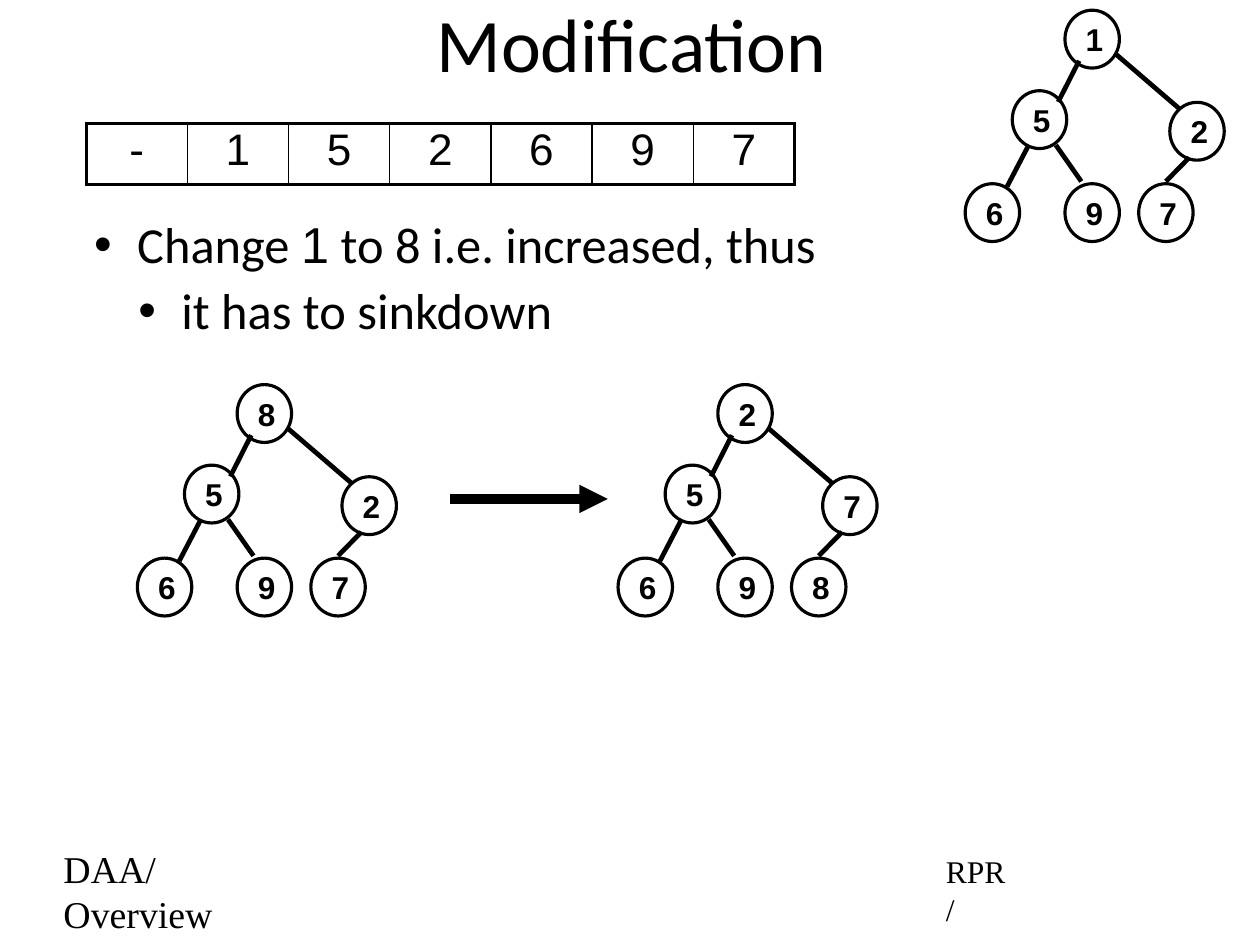
from dataclasses import dataclass
from typing import Optional

from lxml.etree import SubElement
from pptx import Presentation
from pptx.dml.color import RGBColor
from pptx.enum.shapes import MSO_CONNECTOR as Connector, MSO_SHAPE as Preset
from pptx.enum.text import MSO_ANCHOR as Anchor, PP_ALIGN as Align
from pptx.oxml.ns import qn
from pptx.util import Emu, Inches, Pt

WIDTH, HEIGHT = Inches(11.11), Inches(8.33)
INK = "000000"
INSET = Inches(0.06)
TEXT_INDENT = Inches(0.04)
NODE_SIZE = (4.32, 6.12)


@dataclass(frozen=True)
class Style:
    font: str
    size: float
    bold: bool = False


@dataclass(frozen=True)
class Label:
    text: str
    box: tuple[float, float, float, float]
    style: Style
    align: Align = Align.LEFT


@dataclass(frozen=True)
class Bullet:
    runs: tuple[tuple[str, str], ...]
    level: int
    left: float


@dataclass(frozen=True)
class Tree:
    left: float
    top: float
    values: str


TITLE = Style("Calibri", 48)
CELL = Style("Arial", 28)
NODE = Style("Arial", 20, True)
BULLET_SIZE = 32

LABELS = (
    Label("Modification", (7.47, 0, 84.96, 9), TITLE, Align.CENTER),
    Label("DAA/Overview", (4.14, 91.44, 17.1, 5.64), Style("Times New Roman", 24)),
    Label("RPR/", (74.16, 91.68, 6.48, 5.04), Style("Times New Roman", 20)),
)
BULLETS = (
    Bullet((("Change ", "Calibri"), ("1", "Arial"),
            (" to 8 i.e. increased, thus", "Calibri")), 0, 0.42),
    Bullet((("it has to sinkdown", "Calibri"),), 1, 0.81),
)
HEAP_ARRAY = "-152697"
TREES = (Tree(76.6, 1.08, "152697"), Tree(10.9, 40.7, "852697"),
         Tree(49.05, 40.7, "257698"))
NODE_OFFSETS = ((7.92, 0), (3.74, 8.52), (16.24, 9.75),
                (0, 18.36), (7.92, 18.36), (13.77, 18.36))
EDGES = (
    (7.38, 9.72, 9.04, 5.35),
    (3.33, 18.66, 5.04, 14.28),
    (9.22, 18.12, 7.2, 14.28),
    (15.93, 18.12, 17.78, 15.6),
    (17.01, 10.44, 11.88, 4.56),
)


def color(value: str) -> RGBColor:
    return RGBColor.from_string(value)


def across(share: float) -> Emu:
    return Emu(round(WIDTH * share / 100))


def down(share: float) -> Emu:
    return Emu(round(HEIGHT * share / 100))


def place(a: float, b: float, c: float, d: float) -> tuple[Emu, Emu, Emu, Emu]:
    return across(a), down(b), across(c), down(d)


def add_run(paragraph, text: str, style: Style) -> None:
    run = paragraph.add_run()
    run.text = text
    run.font.name = style.font
    run.font.size = Pt(style.size)
    run.font.bold = style.bold
    run.font.color.rgb = color(INK)


def indent(paragraph, left: int, first: int = 0) -> None:
    properties = paragraph._p.get_or_add_pPr()
    properties.set("marL", str(left))
    properties.set("indent", str(first))


def prepare_frame(frame, anchor: Anchor) -> None:
    frame.word_wrap = True
    frame.vertical_anchor = anchor
    frame.margin_left = frame.margin_right = INSET
    frame.margin_top = frame.margin_bottom = INSET


def write_line(frame, text: str, style: Style, align: Align) -> None:
    prepare_frame(frame, Anchor.MIDDLE)
    paragraph = frame.paragraphs[0]
    paragraph.alignment = align
    indent(paragraph, TEXT_INDENT)
    add_run(paragraph, text, style)


def add_label(shapes, label: Label) -> None:
    box = shapes.add_textbox(*place(*label.box))
    write_line(box.text_frame, label.text, label.style, label.align)


def add_bullets(shapes, bullets: tuple[Bullet, ...]) -> None:
    frame = shapes.add_textbox(*place(6.57, 22.56, 60.4, 14.52)).text_frame
    prepare_frame(frame, Anchor.TOP)
    for index, bullet in enumerate(bullets):
        paragraph = frame.add_paragraph() if index else frame.paragraphs[0]
        paragraph.level = bullet.level
        paragraph.line_spacing = 0.9
        if index:
            paragraph.space_before = Pt(7)
        indent(paragraph, Inches(bullet.left), Inches(-0.38))
        properties = paragraph._p.get_or_add_pPr()
        SubElement(properties, qn("a:buFont"), typeface="Arial")
        SubElement(properties, qn("a:buChar"), char="•")
        for text, font in bullet.runs:
            add_run(paragraph, text, Style(font, BULLET_SIZE))


def add_border(cell, side: str, points: float) -> None:
    border = SubElement(cell._tc.get_or_add_tcPr(), qn(f"a:ln{side}"), w=str(Pt(points)))
    fill = SubElement(border, qn("a:solidFill"))
    SubElement(fill, qn("a:srgbClr"), val=INK)


def add_heap_array(shapes, values: str) -> None:
    count = len(values)
    frame = shapes.add_table(1, count, *place(6.84, 13.08, 8.03 * count, 5.64))
    table = frame.table
    table.first_row = table.horz_banding = False
    for index, value in enumerate(values):
        cell = table.cell(0, index)
        cell.margin_left = cell.margin_right = INSET
        cell.margin_top = cell.margin_bottom = INSET
        add_border(cell, "L", 2.25 if index == 0 else 1)
        add_border(cell, "R", 2.25 if index == count - 1 else 1)
        add_border(cell, "T", 2.25)
        add_border(cell, "B", 2.25)
        cell.fill.background()
        paragraph = cell.text_frame.paragraphs[0]
        paragraph.alignment = Align.CENTER
        paragraph.line_spacing = 0.9
        add_run(paragraph, value, CELL)


def add_line(shapes, ends: tuple[float, float, float, float], points: float,
             head: Optional[str] = None) -> None:
    connector = shapes.add_connector(Connector.STRAIGHT, *place(*ends))
    connector.line.color.rgb = color(INK)
    connector.line.width = Pt(points)
    if head:
        SubElement(connector.line._get_or_add_ln(), qn("a:tailEnd"), type=head)
    SubElement(connector._element.spPr, qn("a:effectLst"))


def add_node(shapes, left: float, top: float, value: str) -> None:
    shape = shapes.add_shape(Preset.OVAL, *place(left, top, *NODE_SIZE))
    shape.shadow.inherit = False
    shape.fill.background()
    shape.line.color.rgb = color(INK)
    shape.line.width = Pt(2)
    write_line(shape.text_frame, value, NODE, Align.CENTER)


def add_tree(shapes, tree: Tree) -> None:
    group = shapes.add_group_shape()
    for (x, y), value in zip(NODE_OFFSETS, tree.values):
        add_node(group.shapes, tree.left + x, tree.top + y, value)
    for x1, y1, x2, y2 in EDGES:
        ends = (tree.left + x1, tree.top + y1, tree.left + x2, tree.top + y2)
        add_line(group.shapes, ends, 3)


def main() -> None:
    presentation = Presentation()
    presentation.slide_width, presentation.slide_height = WIDTH, HEIGHT
    slide = presentation.slides.add_slide(presentation.slide_layouts[6])
    for label in LABELS:
        add_label(slide.shapes, label)
    add_heap_array(slide.shapes, HEAP_ARRAY)
    add_bullets(slide.shapes, BULLETS)
    for tree in TREES:
        add_tree(slide.shapes, tree)
    add_line(slide.shapes, (35.73, 52.8, 48.24, 52.8), 6, "triangle")
    presentation.save("out.pptx")


if __name__ == "__main__":
    main()
